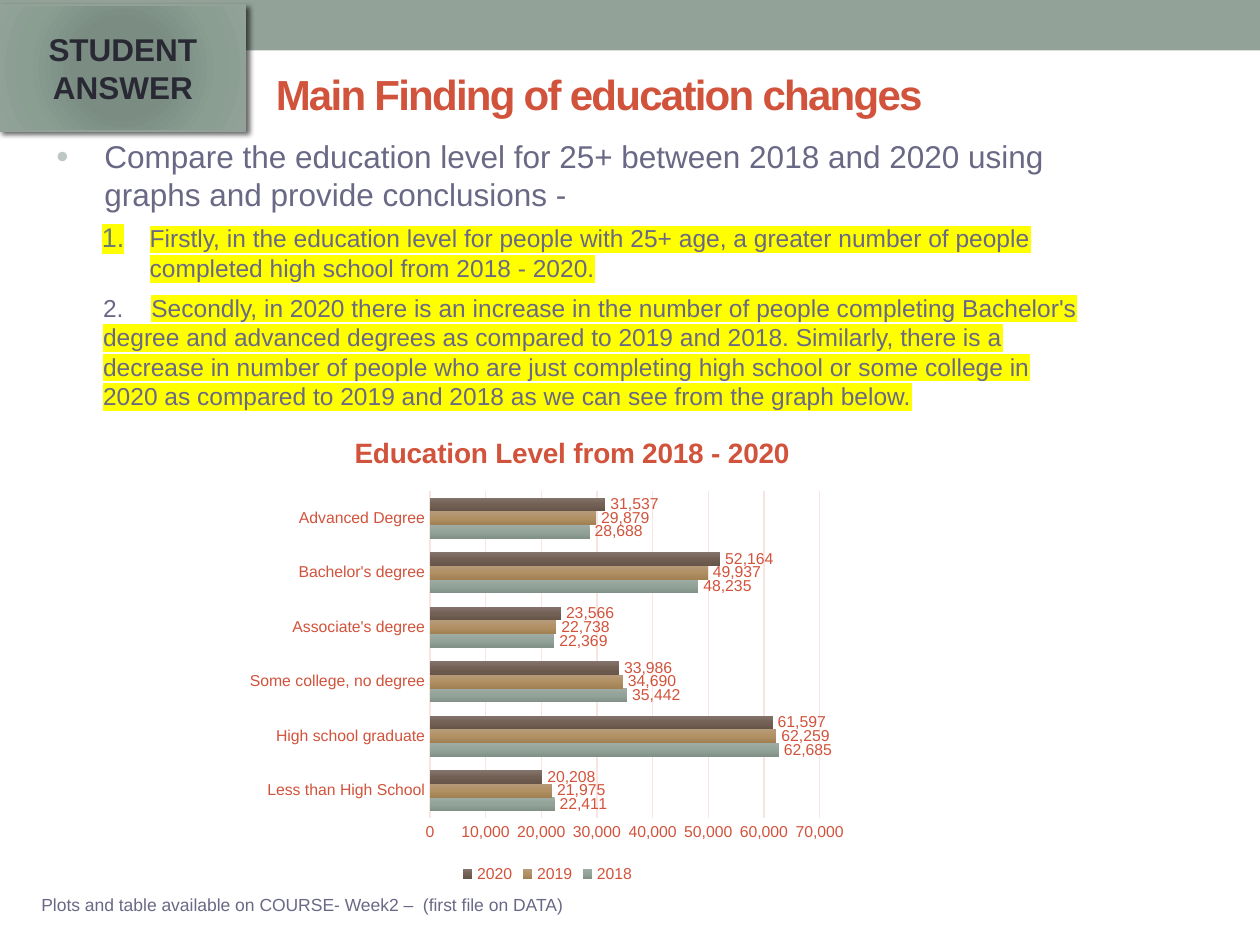
from lxml.etree import SubElement
from pptx import Presentation
from pptx.chart.data import CategoryChartData
from pptx.dml.color import RGBColor
from pptx.enum.chart import XL_CHART_TYPE, XL_LABEL_POSITION, XL_LEGEND_POSITION, XL_TICK_MARK
from pptx.enum.shapes import MSO_SHAPE
from pptx.enum.text import MSO_ANCHOR, PP_ALIGN
from pptx.oxml import parse_xml
from pptx.oxml.ns import qn
from pptx.util import Inches, Pt

SAGE, RUST, SLATE, INK = "93A299", "D2533C", "696986", "292934"
GRID, YELLOW = "F8E5E2", "FFFF00"
NAMESPACE = 'xmlns:a="http://schemas.openxmlformats.org/drawingml/2006/main"'
LEVELS = ["Less than High School", "High school graduate", "Some college, no degree",
          "Associate's degree", "Bachelor's degree", "Advanced Degree"]
YEARS = {
    "2018": ([22411, 62685, 35442, 22369, 48235, 28688], ["9FACA4", "92A399", "819188"]),
    "2019": ([21975, 62259, 34690, 22738, 49937, 29879], ["B69B7A", "B19063", "A18054"]),
    "2020": ([20208, 61597, 33986, 23566, 52164, 31537], ["83746C", "736055", "68554A"]),
}


def rgb(value):
    """Return the colour for a hex string."""
    return RGBColor.from_string(value)


def style_font(font, size, color, bold=False):
    """Set the typeface, size, colour and weight of a font."""
    font.name, font.size, font.bold = "Arial", Pt(size), bold
    font.color.rgb = rgb(color)


def add_run(paragraph, text, size, color, bold=False, highlight=None, spacing=0):
    """Append a styled run with optional highlight and letter spacing in points."""
    run = paragraph.add_run()
    run.text = text
    style_font(run.font, size, color, bold)
    if spacing:
        run.font._element.set("spc", str(spacing * 100))
    if highlight:
        marker = parse_xml(f'<a:highlight {NAMESPACE}><a:srgbClr val="{highlight}"/></a:highlight>')
        run.font._element.find(qn("a:solidFill")).addnext(marker)


def add_text_frame(slide, left, top, width, height):
    """Add a wrapping text box and return its frame."""
    box = slide.shapes.add_textbox(Inches(left), Inches(top), Inches(width), Inches(height))
    box.text_frame.word_wrap = True
    return box.text_frame


def indent(paragraph, margin, first_line, space_before):
    """Set the left margin, first line indent and space above a paragraph."""
    properties = paragraph._p.get_or_add_pPr()
    properties.set("marL", str(Inches(margin)))
    properties.set("indent", str(Inches(first_line)))
    paragraph.space_before = Pt(space_before)
    return properties


def add_bullet(properties, color, tag, **attributes):
    """Give a paragraph a coloured bullet or number."""
    SubElement(SubElement(properties, qn("a:buClr")), qn("a:srgbClr"), val=color)
    SubElement(properties, qn("a:buSzPct"), val="110000")
    SubElement(properties, qn("a:buFont"), typeface="Arial")
    SubElement(properties, qn(tag), **attributes)


def fill_gradient(fill, properties, stops, direction):
    """Fill an element with gradient stops running in a direction."""
    fill.solid()
    marks = "".join(f'<a:gs pos="{position * 1000}"><a:srgbClr val="{color}"/></a:gs>'
                    for position, color in stops)
    gradient = parse_xml(f"<a:gradFill {NAMESPACE}><a:gsLst>{marks}</a:gsLst>{direction}</a:gradFill>")
    properties.replace(properties.find(qn("a:solidFill")), gradient)


def add_rectangle(slide, left, top, width, height):
    """Add a sage rectangle without line or shadow."""
    shape = slide.shapes.add_shape(MSO_SHAPE.RECTANGLE, Inches(left), Inches(top),
                                   Inches(width), Inches(height))
    shape.fill.solid()
    shape.fill.fore_color.rgb = rgb(SAGE)
    shape.line.fill.background()
    shape.shadow.inherit = False
    return shape


def add_badge(slide):
    """Add the shaded badge in the top left corner."""
    badge = add_rectangle(slide, 0, 0.04, 1.95, 1)
    properties = badge._element.spPr
    stops = [(0, "7B8E82"), (34, "7B8D83"), (70, "8A9E92"), (100, SAGE)]
    fill_gradient(badge.fill, properties, stops,
                  '<a:path path="circle"><a:fillToRect l="100000" t="100000" r="100000" b="100000"/></a:path>')
    badge.line.color.rgb = rgb(SAGE)
    badge.line.width = Pt(0.75)
    shadow = SubElement(properties.find(qn("a:effectLst")), qn("a:outerShdw"), blurRad=str(Pt(3)),
                        dist=str(Pt(2)), dir="2700000", algn="tl", rotWithShape="0")
    SubElement(SubElement(shadow, qn("a:srgbClr"), val="000000"), qn("a:alpha"), val="60000")
    badge.text_frame.vertical_anchor = MSO_ANCHOR.MIDDLE
    paragraph = badge.text_frame.paragraphs[0]
    paragraph.alignment = PP_ALIGN.CENTER
    add_run(paragraph, "STUDENT ANSWER", 18, INK, bold=True)


def add_title(slide):
    """Add the slide title."""
    frame = add_text_frame(slide, 2.09, 0.4, 7.91, 0.68)
    frame.vertical_anchor = MSO_ANCHOR.MIDDLE
    add_run(frame.paragraphs[0], "Main Finding of education changes", 24, RUST, bold=True, spacing=-1)


def add_findings(slide):
    """Add the question and its two highlighted findings."""
    frame = add_text_frame(slide, 0.35, 1.04, 8.37, 2.4)
    question, first, second = frame.paragraphs[0], frame.add_paragraph(), frame.add_paragraph()
    add_bullet(indent(question, 0.38, -0.38, 20), "BEC7C2", "a:buChar", char="•")
    add_run(question, "Compare the education level for 25+ between 2018 and 2020 using graphs "
            "and provide conclusions -", 18, SLATE)
    first.level = second.level = 1
    add_bullet(indent(first, 0.74, -0.38, 6), "6B7D72", "a:buAutoNum", type="arabicPeriod")
    add_run(first, "Firstly, in the education level for people with 25+ age, a greater number of "
            "people completed high school from 2018 - 2020.", 14, SLATE, highlight=YELLOW)
    indent(second, 0.37, 0, 6)
    add_run(second, "2.", 14, SLATE)
    add_run(second, " ", 14, SLATE, spacing=12)
    add_run(second, "Secondly, in 2020 there is an increase in the number of people completing "
            "Bachelor's degree and advanced degrees as compared to 2019 and 2018. Similarly, there "
            "is a decrease in number of people who are just completing high school or some college "
            "in 2020 as compared to 2019 and 2018 as we can see from the graph below.",
            14, SLATE, highlight=YELLOW)


def add_footnote(slide):
    """Add the note on where the data is found."""
    frame = add_text_frame(slide, 0.23, 7.05, 6.05, 0.4)
    add_run(frame.paragraphs[0], "Plots and table available on COURSE- Week2 –  (first file on DATA)",
            10, SLATE)


def place(element, **fractions):
    """Place a chart part by fractions of the chart area."""
    layout = element.find(qn("c:layout"))
    if layout is None:
        layout = element.makeelement(qn("c:layout"))
        element.insert(1 if element.find(qn("c:tx")) is not None else 0, layout)
    manual = SubElement(layout, qn("c:manualLayout"))
    if "w" in fractions:
        SubElement(manual, qn("c:layoutTarget"), val="inner")
    for side in ("x", "y"):
        SubElement(manual, qn(f"c:{side}Mode"), val="edge")
    for side, fraction in fractions.items():
        SubElement(manual, qn(f"c:{side}"), val=str(fraction))


def style_axes(chart):
    """Style the category axis, value axis and gridlines."""
    for axis in (chart.category_axis, chart.value_axis):
        axis.major_tick_mark = axis.minor_tick_mark = XL_TICK_MARK.NONE
        style_font(axis.tick_labels.font, 9, RUST)
    values = chart.value_axis
    values.has_major_gridlines = True
    values.tick_labels.number_format = "#,##0"
    values.tick_labels.number_format_is_linked = False
    values.format.line.fill.background()
    for line in (chart.category_axis.format.line, values.major_gridlines.format.line):
        line.color.rgb = rgb(GRID)
        line.width = Pt(0.75)


def add_education_chart(slide):
    """Add the bar chart of education levels by year."""
    data = CategoryChartData(number_format="#,##0")
    data.categories = LEVELS
    for year, (counts, _) in YEARS.items():
        data.add_series(year, counts)
    chart = slide.shapes.add_chart(XL_CHART_TYPE.BAR_CLUSTERED, Inches(1.89), Inches(3.34),
                                   Inches(4.91), Inches(3.71), data).chart
    style_font(chart.font, 10, INK)
    add_run(chart.chart_title.text_frame.paragraphs[0], "Education Level from 2018 - 2020",
            16, RUST, bold=True)
    place(chart.chart_title._element, x=0.18, y=0.02)
    place(chart._chartSpace.chart.plotArea, x=0.31, y=0.15, w=0.63, h=0.7)
    chart.has_legend = True
    chart.legend.position = XL_LEGEND_POSITION.BOTTOM
    chart.legend.include_in_layout = False
    style_font(chart.legend.font, 9, RUST)
    style_axes(chart)
    plot = chart.plots[0]
    plot.gap_width, plot.overlap, plot.vary_by_categories = 100, 0, False
    for series, (_, shades) in zip(plot.series, YEARS.values()):
        fill_gradient(series.format.fill, series._element.get_or_add_spPr(),
                      zip((0, 50, 100), shades), '<a:lin ang="5400000" scaled="0"/>')
        labels = series.data_labels
        labels.show_value, labels.position = True, XL_LABEL_POSITION.OUTSIDE_END
        labels.number_format, labels.number_format_is_linked = "#,##0", False
        style_font(labels.font, 9, RUST)


def main():
    """Build the slide and save it."""
    deck = Presentation()
    deck.slide_width, deck.slide_height = Inches(10), Inches(7.5)
    slide = deck.slides.add_slide(deck.slide_layouts[6])
    add_rectangle(slide, 0, 0, 10, 0.4)
    for add_part in (add_title, add_findings, add_footnote, add_badge, add_education_chart):
        add_part(slide)
    deck.save("out.pptx")


if __name__ == "__main__":
    main()
